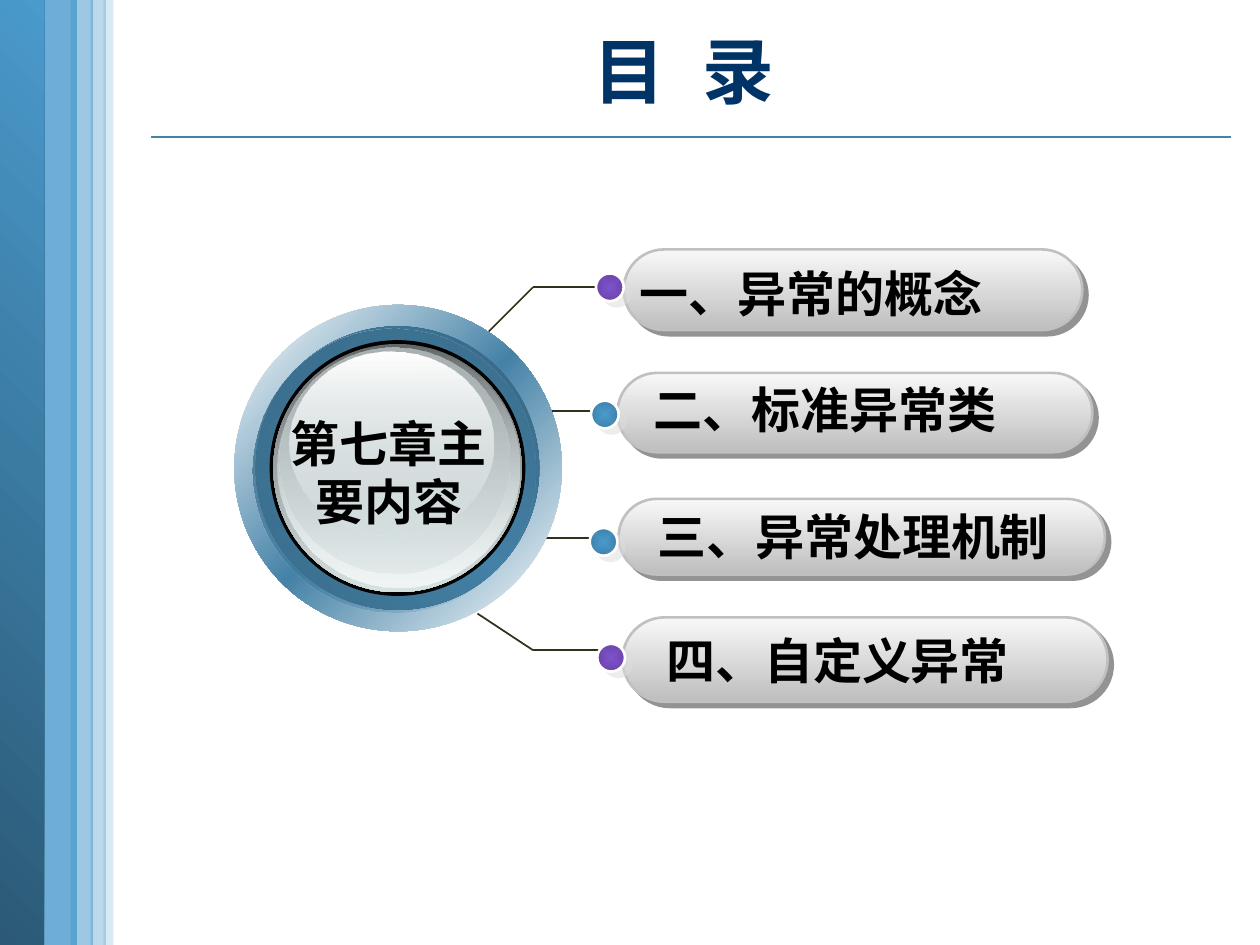
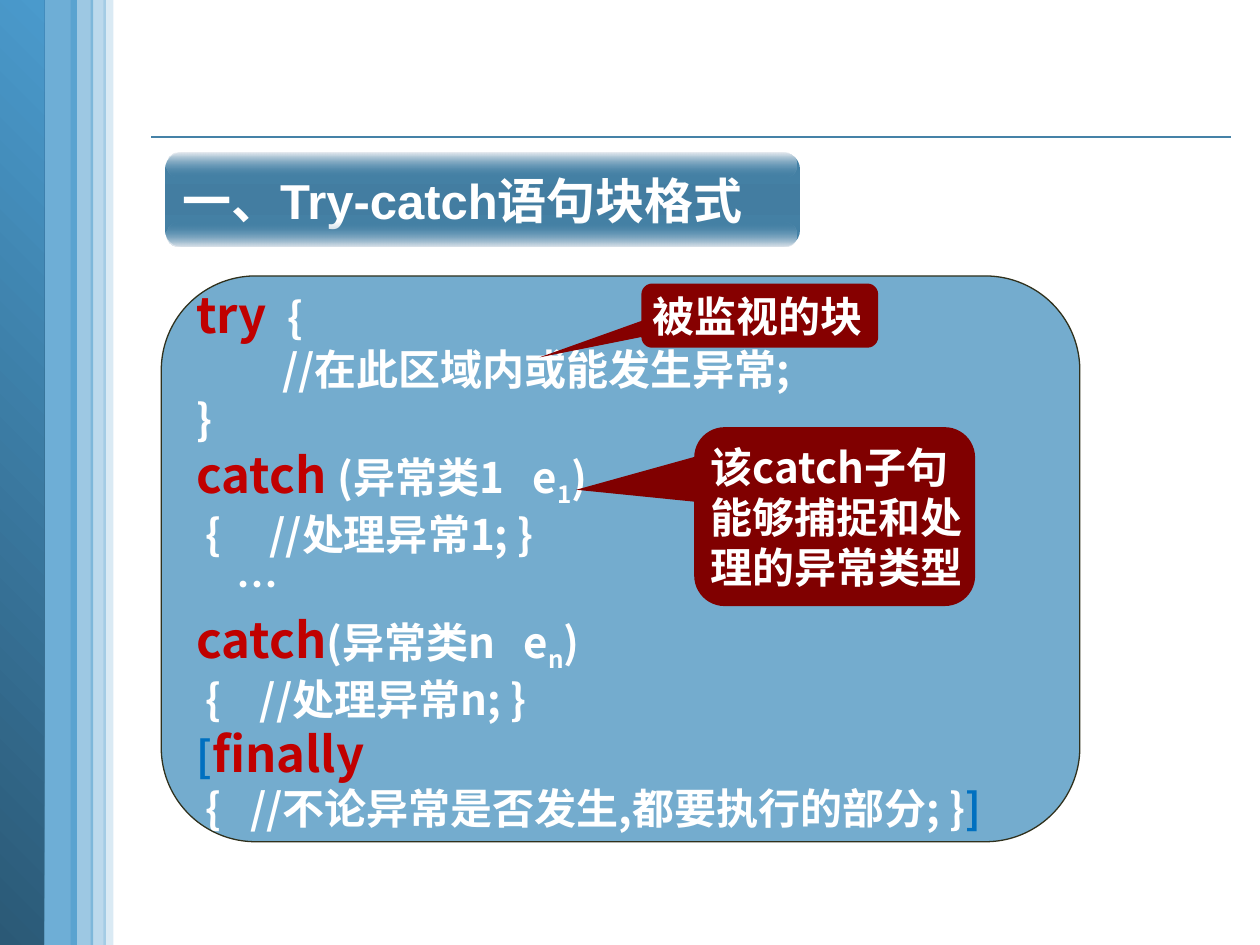
"""Builds two slides on exception handling: a contents wheel and a try-catch form."""
from lxml import etree
from pptx import Presentation
from pptx.dml.color import RGBColor
from pptx.enum.shapes import MSO_CONNECTOR, MSO_SHAPE
from pptx.enum.text import MSO_ANCHOR, PP_ALIGN
from pptx.oxml.ns import qn
from pptx.util import Inches, Pt

RECT, OVAL = MSO_SHAPE.RECTANGLE, MSO_SHAPE.OVAL
ROUND, PANEL = MSO_SHAPE.ROUNDED_RECTANGLE, MSO_SHAPE.FLOWCHART_ALTERNATE_PROCESS
CALL = MSO_SHAPE.ROUNDED_RECTANGULAR_CALLOUT
STRAIGHT = MSO_CONNECTOR.STRAIGHT
TOP, MIDDLE = MSO_ANCHOR.TOP, MSO_ANCHOR.MIDDLE
LEFT, CENTER = PP_ALIGN.LEFT, PP_ALIGN.CENTER

WHITE, BLACK = RGBColor(255, 255, 255), RGBColor(0, 0, 0)
NAVY = RGBColor(0x00, 0x33, 0x66)
SKY = RGBColor(0x4A, 0x9A, 0xCC)
SEA = RGBColor(0x3E, 0x81, 0xAB)
DEEP = RGBColor(0x2B, 0x59, 0x76)
STEEL = RGBColor(0x45, 0x82, 0xA7)
SLATE = RGBColor(0x35, 0x64, 0x80)
DUSK = RGBColor(0x39, 0x6B, 0x89)
BLUE = RGBColor(0x43, 0x7D, 0xA1)
PALE = RGBColor(0x74, 0xAC, 0xCE)
MIST = RGBColor(0xD6, 0xE1, 0xE2)
FROST = RGBColor(0xF1, 0xF5, 0xF5)
SHEEN = RGBColor(0xEA, 0xED, 0xF1)
GLOW = RGBColor(0xE2, 0xE7, 0xED)
ASH = RGBColor(0x63, 0x68, 0x69)
STONE = RGBColor(0xAA, 0xB2, 0xB3)
CHALK = RGBColor(0xF8, 0xF8, 0xF8)
GREY = RGBColor(0xBE, 0xBE, 0xBE)
RIM = RGBColor(0xC0, 0xC0, 0xC0)
SHADE = RGBColor(0x29, 0x29, 0x29)
LIGHT = RGBColor(0xDD, 0xDD, 0xDD)
INK = RGBColor(0x30, 0x31, 0x1D)
GRAPE = RGBColor(0x7E, 0x52, 0xCC)
PLUM = RGBColor(0x6A, 0x45, 0xAB)
RED = RGBColor(0xC0, 0, 0)
WINE, MAROON = RGBColor(0x86, 0, 0), RGBColor(0x80, 0, 0)
AZURE = RGBColor(0x00, 0x70, 0xC0)

LATIN, HAN = "Arial", "Noto Sans CJK SC"
CELL = Inches(0.1)
COLS, ROWS = 100, 75

KEY = dict(size=28, color=RED, face=HAN)
PLAIN = dict(size=24, color=WHITE, face=HAN)
SUB = dict(PLAIN, base=-25)
MARK = dict(PLAIN, color=AZURE)

BANDS = [
    (3, 0, 3.1, 75.3, 80), (-0.1, 0, 3.6, 75, None), (8.2, -0.2, 0.8, 75.2, 20),
    (5.6, 0, 1.8, 75.1, 54), (7.2, 0, 1.2, 75.2, 37),
]
LINKS = [
    (41.9, 32.6, 48.6, 32.6), (41.5, 42.7, 48.2, 42.7),
    (42.3, 22.8, 48.2, 22.8), (38.6, 26.5, 42.3, 22.8),
    (42.3, 51.6, 48.2, 51.6), (37.9, 48.7, 42.3, 51.6),
]
TOPICS = [
    ("一、异常的概念", (49.5, 19.8, 36.4, 6.4), (47.3, 21.7), (49.8, 20.4, 29.6, 5.7)),
    ("二、标准异常类", (49, 29.6, 37.7, 6.3), (46.9, 31.8), (50.9, 29.6, 29.6, 5.7)),
    ("三、异常处理机制", (49.1, 39.6, 38.6, 6), (46.8, 41.9), (51.2, 39.7, 33.6, 5.7)),
    ("四、自定义异常", (49.4, 49, 38.5, 6.7), (47.4, 51.1), (51.9, 49.5, 29.6, 5.7)),
]
DOTS = [(GRAPE, PLUM), (SKY, SEA), (SKY, SEA), (GRAPE, PLUM)]
DISCS = [
    ((18.6, 24.2, 26, 25.9), [(0, WHITE), (50, STEEL), (100, WHITE)], 45),
    ((20.3, 25.9, 22.5, 22.5), [(0, SLATE), (50, STEEL), (100, SLATE)], 315),
    ((20, 26.1, 22.5, 22.5), [(0, DUSK), (100, STEEL, 0)], 45),
    ((21.4, 27, 20.3, 20.3), BLACK, 0),
    ((21.7, 27.3, 19.7, 19.7), [(0, ASH), (100, MIST)], 90),
    ((22, 27.4, 19.2, 19.2), [(0, MIST, 0), (100, FROST)], 90),
    ((22.2, 27.6, 18.2, 17.9), [(0, STONE), (100, MIST, 48)], 90),
    ((23, 27.9, 16.2, 14.6), [(0, WHITE), (100, MIST, 38)], 90),
]
CODE = [
    [("try ", KEY), (" {", PLAIN)],
    [("         //在此区域内或能发生异常;", PLAIN)],
    [("}", PLAIN)],
    [("catch ", KEY), ("(异常类1   e", PLAIN), ("1", SUB), (")", PLAIN)],
    [(" {     //处理异常1; }", PLAIN)],
    [("…", PLAIN)],
    [("catch", KEY), ("(异常类n   e", PLAIN), ("n", SUB), (")", PLAIN)],
    [(" {    //处理异常n; }", PLAIN)],
    [("[", MARK), ("finally", KEY)],
    [(" {   //不论异常是否发生,都要执行的部分; }", PLAIN), ("]", MARK)],
]


def add(node, tag, **attrs):
    """Append a drawing element whose attributes are given as keywords."""
    return etree.SubElement(node, qn("a:" + tag), {k: str(v) for k, v in attrs.items()})


def tint(node, color, alpha=100):
    """Append a colour with its opacity in percent."""
    add(add(node, "srgbClr", val=color), "alpha", val=alpha * 1000)


def write(para, text, size=28, color=BLACK, face=LATIN, base=0, space=0):
    """Append one bold run in the given format."""
    run = para.add_run()
    run.text = text
    font = run.font
    font.size, font.bold, font.name = Pt(size), True, face
    font.color.rgb = color
    props = run._r.get_or_add_rPr()
    add(props, "ea", typeface=HAN)
    if base:
        props.set("baseline", str(base * 1000))
    if space:
        props.set("spc", str(space * 100))


def fill(shape, paint, angle=0):
    """Fill with a colour or with stops; an angle of None spreads from the centre."""
    if isinstance(paint, RGBColor):
        shape.fill.solid()
        shape.fill.fore_color.rgb = paint
        return
    shape.fill.gradient()
    grad = shape.element.spPr.find(qn("a:gradFill"))
    for child in list(grad):
        grad.remove(child)
    stops = add(grad, "gsLst")
    for pos, *color in paint:
        tint(add(stops, "gs", pos=pos * 1000), *color)
    if angle is None:
        add(add(grad, "path", path="shape"), "fillToRect", l=50000, t=50000, r=50000, b=50000)
    else:
        add(grad, "lin", ang=angle * 60000, scaled=0)


class Deck:
    """Holds the shared style and the current slide."""

    def __init__(self):
        """Open the deck and clear the footers from its layout."""
        self.prs = Presentation()
        self.prs.slide_width, self.prs.slide_height = COLS * CELL, ROWS * CELL
        self.layout = self.prs.slide_layouts[5]
        for item in list(self.layout.placeholders)[1:]:
            item.element.getparent().remove(item.element)
        head = self.layout.placeholders[0]
        head.left, head.top, head.width, head.height = self.cells(10.8, 0, 87, 11.1)
        self.slide = None

    def cells(self, *spans):
        """Turn grid units into lengths."""
        return [round(span * CELL) for span in spans]

    def page(self, title=None):
        """Start a slide, with the title if there is one."""
        first = self.slide is None
        self.slide = self.prs.slides.add_slide(self.layout)
        head = self.slide.shapes.title
        if first:
            self.frame()
        if title:
            head.text_frame.vertical_anchor = MIDDLE
            para = head.text_frame.paragraphs[0]
            para.alignment = CENTER
            write(para, title, size=41, color=NAVY, space=6)
        else:
            head.element.getparent().remove(head.element)

    def frame(self):
        """Draw the rule and side bands and move them to the layout."""
        parts = [self.line(12, 10.9, 97.7, 10.9, STEEL)]
        for *box, alpha in BANDS:
            paint = [(0, DEEP), (100, SKY)] if alpha is None else SKY
            band = self.shape(RECT, box, paint, 315)
            if alpha:
                color = band.element.spPr.find(".//" + qn("a:srgbClr"))
                add(color, "alpha", val=alpha * 1000)
            parts.append(band)
        for part in parts:
            self.layout.placeholders[0].element.addprevious(part.element)

    def line(self, x, y, end, low, color=INK):
        """Draw a thin straight line."""
        line = self.slide.shapes.add_connector(STRAIGHT, *self.cells(x, y, end, low))
        line.line.color.rgb, line.line.width = color, Pt(1)
        add(line.element.spPr, "effectLst")
        return line

    def shape(self, kind, box, paint, angle=0, edge=None, width=1.5, adj=(), shadow=None):
        """Draw a preset shape; shadow is a colour, a distance and an angle."""
        shape = self.slide.shapes.add_shape(kind, *self.cells(*box))
        for i, value in enumerate(adj):
            shape.adjustments[i] = value
        fill(shape, paint, angle)
        if edge is None:
            shape.line.fill.background()
        else:
            shape.line.color.rgb, shape.line.width = edge, Pt(width)
        shape.shadow.inherit = False
        if shadow:
            color, dist, turn = shadow
            effect = shape.element.spPr.find(qn("a:effectLst"))
            cast = add(effect, "outerShdw", dist=Pt(dist), dir=turn * 60000,
                       algn="ctr", rotWithShape=0)
            tint(cast, color, 50)
        return shape

    def text(self, shape, lines, anchor=MIDDLE, align=LEFT, wrap=False, inset=None):
        """Set lines, each a list of runs, in a shape."""
        frame = shape.text_frame
        frame.word_wrap, frame.vertical_anchor = wrap, anchor
        if inset:
            frame.margin_left = frame.margin_right = Inches(inset)
            frame.margin_top = frame.margin_bottom = Inches(inset / 2)
        for i, runs in enumerate(lines):
            para = frame.add_paragraph() if i else frame.paragraphs[0]
            para.alignment = align
            if runs[0][0] == "…":
                para._p.get_or_add_pPr().set("marL", str(Inches(0.32)))
            for words, style in runs:
                write(para, words, **style)

    def label(self, box, words, **form):
        """Place a text box."""
        self.text(self.slide.shapes.add_textbox(*self.cells(*box)), [[(words, {})]], **form)

    def call(self, box, lines, color, adj, anchor=MIDDLE):
        """Draw a callout with white text."""
        shape = self.shape(CALL, box, color, adj=adj)
        self.text(shape, [[(words, PLAIN)] for words in lines], anchor=anchor, inset=0.06)


def contents(deck):
    """Build the contents slide."""
    deck.page("目 录")
    for link in LINKS:
        deck.line(*link)
    for (words, pill, dot, box), (core, edge) in zip(TOPICS, DOTS):
        deck.shape(ROUND, pill, [(0, CHALK), (100, GREY)], 90, edge=RIM,
                   adj=[0.5], shadow=(SHADE, 4.2, 45))
        deck.shape(OVAL, (*dot, 2.2, 2.2), [(0, core), (100, edge)], None,
                   edge=WHITE, shadow=(LIGHT, 5, 37))
        deck.label(box, words)
    for box, paint, angle in DISCS:
        deck.shape(OVAL, box, paint, angle)
    deck.label((21.5, 32.3, 18.7, 10.4), "第七章主要内容", anchor=TOP, align=CENTER, wrap=True)


def syntax(deck):
    """Build the try-catch slide."""
    deck.page()
    bar = deck.shape(ROUND, (13.1, 12.1, 50.4, 7.5),
                     [(0, STEEL), (50, BLUE), (100, STEEL)], 90, adj=[0.18])
    deck.text(bar, [[("一、Try-catch语句块格式", dict(color=WHITE))]])
    for top, paint in ((17.7, [(0, STEEL, 0), (100, GLOW)]),
                       (12.1, [(0, SHEEN), (100, STEEL, 0)])):
        deck.shape(ROUND, (13.2, top, 50, 1.9), paint, 90, adj=[0.5])
    panel = deck.shape(PANEL, (12.8, 21.9, 72.9, 44.9), PALE, edge=INK, width=0.75)
    deck.text(panel, CODE, inset=0.06)
    deck.call((50.9, 22.5, 18.8, 5.1), ["被监视的块"], WINE, (-0.93, 0.65, 0.17), TOP)
    deck.call((55.1, 33.9, 22.3, 14.2), ["该catch子句", "能够捕捉和处", "理的异常类型"],
              MAROON, (-0.92, -0.15, 0.17))


def main():
    """Build and save the deck."""
    deck = Deck()
    contents(deck)
    syntax(deck)
    deck.prs.save("out.pptx")


if __name__ == "__main__":
    main()
